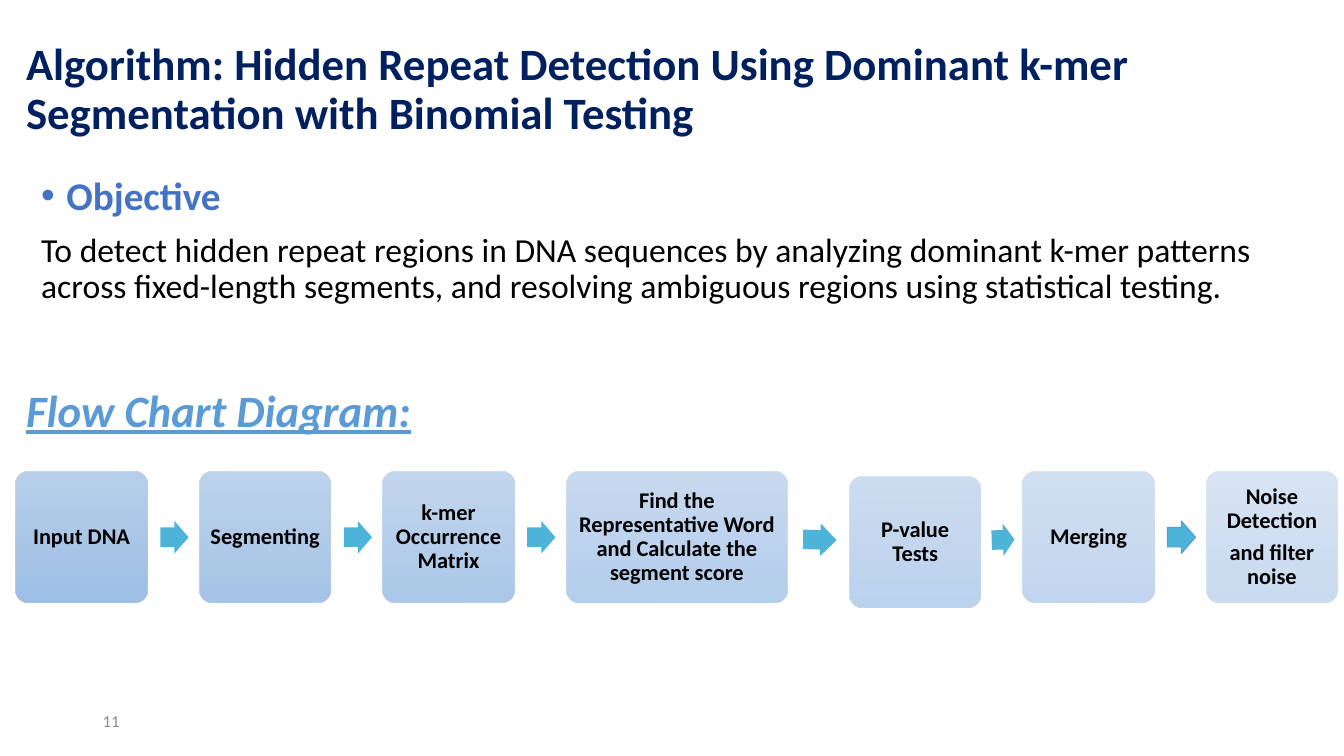
import math

from lxml import etree
from pptx import Presentation
from pptx.dml.color import RGBColor
from pptx.enum import shapes, text
from pptx.oxml import ns
from pptx.util import Pt

NAVY = RGBColor(0x00, 0x20, 0x60)
BLUE = RGBColor(0x44, 0x72, 0xC4)
LIGHT_BLUE = RGBColor(0x5B, 0x9B, 0xD5)
ARROW_BLUE = RGBColor(0x4D, 0xB3, 0xD9)
BLACK = RGBColor(0x00, 0x00, 0x00)
GREY = RGBColor(0x8C, 0x8C, 0x8C)
BOX_STOPS = [
    (0, RGBColor(0xB1, 0xCB, 0xE9)),
    (50, RGBColor(0xA3, 0xC1, 0xE5)),
    (100, RGBColor(0x93, 0xB9, 0xE4)),
]


def add_text(frame, content, size, color, bold=False, italic=False, underline=False,
             align=text.PP_ALIGN.LEFT, spacing=0.9, before=0, after=0, bullet=False):
    """Write one paragraph, reusing the frame's first one while it is empty."""
    frame.word_wrap = True
    paragraph = frame.paragraphs[0]
    if paragraph.runs:
        paragraph = frame.add_paragraph()
    paragraph.alignment = align
    paragraph.line_spacing = spacing
    paragraph.space_before = Pt(before)
    paragraph.space_after = Pt(after)
    if bullet:
        properties = paragraph._p.get_or_add_pPr()
        properties.set("marL", str(Pt(18)))
        properties.set("indent", str(-Pt(18)))
        etree.SubElement(properties, ns.qn("a:buFont"), typeface="Arial")
        etree.SubElement(properties, ns.qn("a:buChar"), char="•")
    run = paragraph.add_run()
    run.text = content
    run.font.name = "Calibri"
    run.font.size = Pt(size)
    run.font.color.rgb = color
    run.font.bold = bold
    run.font.italic = italic
    run.font.underline = underline


def fill_gradient(shape, opacity):
    """Fill a shape from top to bottom with the box colours."""
    shape.fill.gradient()
    shape.fill.gradient_angle = 270
    stop_list = shape._element.spPr.find(".//" + ns.qn("a:gsLst"))
    for stop in list(stop_list):
        stop_list.remove(stop)
    for position, color in BOX_STOPS:
        stop = etree.SubElement(stop_list, ns.qn("a:gs"), pos=str(position * 1000))
        value = etree.SubElement(stop, ns.qn("a:srgbClr"), val=str(color))
        etree.SubElement(value, ns.qn("a:alpha"), val=str(round(opacity * 1000)))


presentation = Presentation()
presentation.slide_width = Pt(960)
presentation.slide_height = Pt(540)
slide = presentation.slides.add_slide(presentation.slide_layouts[6])

# Title
title = slide.shapes.add_textbox(Pt(11.5), Pt(12.5), Pt(915), Pt(104.4)).text_frame
title.vertical_anchor = text.MSO_ANCHOR.MIDDLE
add_text(title, "Algorithm: Hidden Repeat Detection Using Dominant k-mer "
         "Segmentation with Binomial Testing", 32, NAVY, bold=True)

# Objective
objective = slide.shapes.add_textbox(Pt(22.3), Pt(122.6), Pt(911.5), Pt(120)).text_frame
add_text(objective, "Objective", 28, BLUE, bold=True, bullet=True)
add_text(objective, "To detect hidden repeat regions in DNA sequences by analyzing dominant "
         "k-mer patterns across fixed-length segments, and resolving ambiguous regions "
         "using statistical testing.", 24, BLACK, before=10)

# Flow chart heading
heading = slide.shapes.add_textbox(Pt(11.5), Pt(270), Pt(480), Pt(46)).text_frame
add_text(heading, "Flow Chart Diagram:", 32, LIGHT_BLUE, bold=True, italic=True,
         underline=True, spacing=1)

# Flow chart boxes: paragraphs, left, top, width
BOX_SIZE = 93.6
BOX_TOP = 337
steps = [
    (["Input DNA"], 11.5, BOX_TOP, BOX_SIZE),
    (["Segmenting"], 142.6, BOX_TOP, BOX_SIZE),
    (["k-mer Occurrence Matrix"], 273.6, BOX_TOP, BOX_SIZE),
    (["Find the Representative Word and Calculate the segment score"], 404.6, BOX_TOP, 158),
    (["P-value Tests"], 607, BOX_TOP + 3.6, BOX_SIZE),
    (["Merging"], 730.8, BOX_TOP, BOX_SIZE),
    (["Noise Detection", "and filter noise"], 861.8, BOX_TOP, BOX_SIZE),
]
for index, (lines, left, top, width) in enumerate(steps):
    box = slide.shapes.add_shape(shapes.MSO_SHAPE.ROUNDED_RECTANGLE,
                                 Pt(left), Pt(top), Pt(width), Pt(BOX_SIZE))
    box.adjustments[0] = 0.1
    box.shadow.inherit = False
    box.line.fill.background()
    fill_gradient(box, 90 - 40 * index / (len(steps) - 1))
    frame = box.text_frame
    frame.vertical_anchor = text.MSO_ANCHOR.MIDDLE
    frame.margin_left = frame.margin_right = Pt(3.6)
    frame.margin_top = frame.margin_bottom = Pt(3.6)
    for line in lines:
        add_text(frame, line, 16, BLACK, bold=True, align=text.PP_ALIGN.CENTER, after=5.6)

# Arrows, each centred in a gap and turned towards the next box
ARROW_HEIGHT = 23.2
for (_, left, top, width), (_, next_left, next_top, next_width) in zip(steps, steps[1:]):
    gap = next_left - left - width
    arrow_width = 0.54 * gap
    center_x = left + width + gap / 2 + 0.8
    center_y = (top + next_top + BOX_SIZE) / 2
    distance = next_left + next_width / 2 - left - width / 2
    arrow = slide.shapes.add_shape(
        shapes.MSO_SHAPE.RIGHT_ARROW, Pt(center_x - arrow_width / 2),
        Pt(center_y - ARROW_HEIGHT / 2), Pt(arrow_width), Pt(ARROW_HEIGHT))
    arrow.adjustments[0] = 0.6
    arrow.adjustments[1] = 0.5
    arrow.rotation = math.degrees(math.atan2(next_top - top, distance))
    arrow.shadow.inherit = False
    arrow.fill.solid()
    arrow.fill.fore_color.rgb = ARROW_BLUE
    arrow.line.fill.background()

# The last arrow is outlined
arrow.line.color.rgb = LIGHT_BLUE
arrow.line.width = Pt(0.75)

# Slide number
number = slide.shapes.add_textbox(Pt(66.2), Pt(500.4), Pt(216), Pt(28.8)).text_frame
number.vertical_anchor = text.MSO_ANCHOR.MIDDLE
add_text(number, "11", 12, GREY, spacing=1)

presentation.save("out.pptx")
